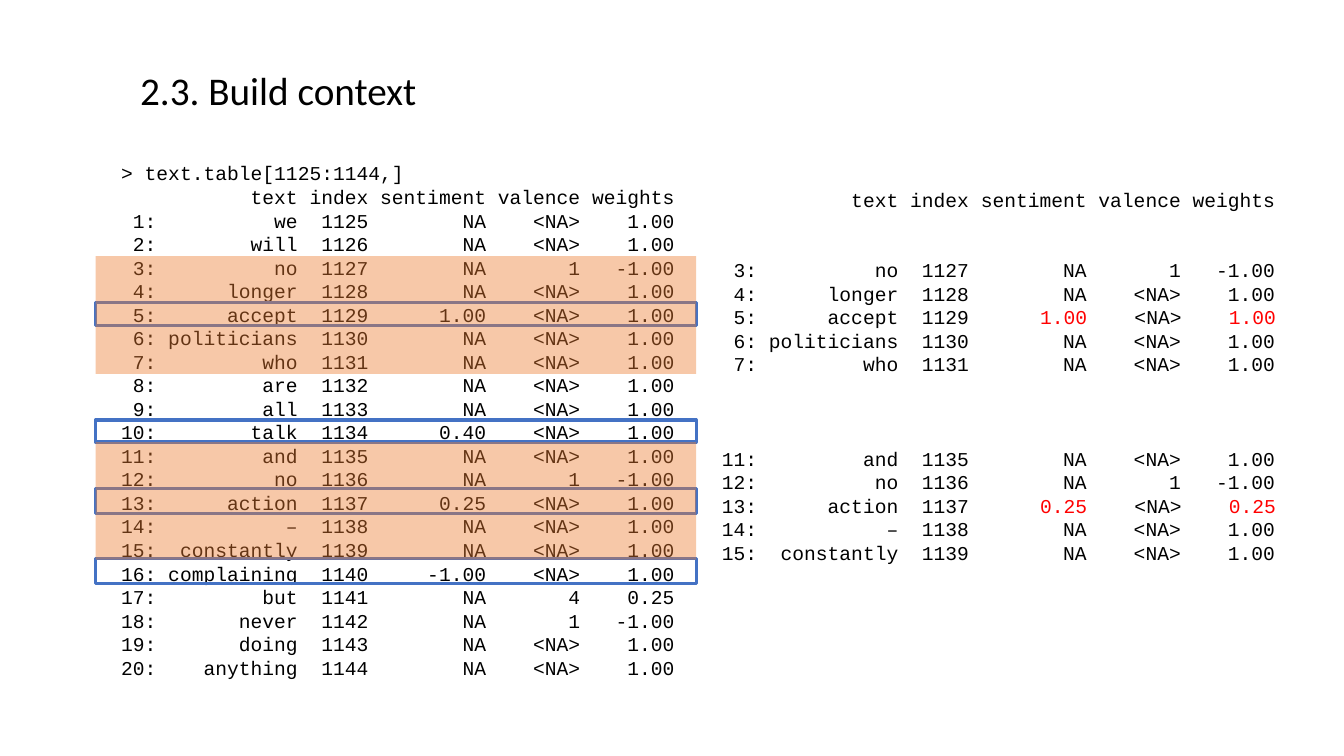
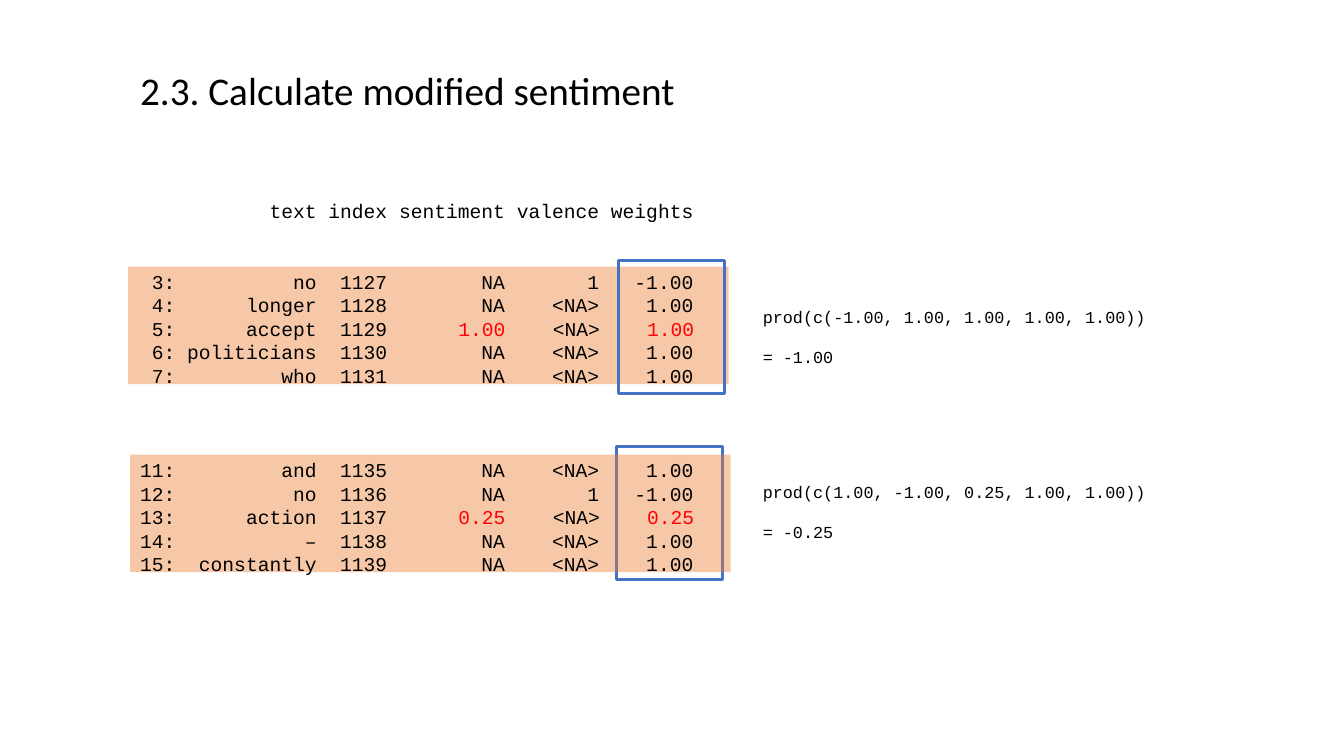
import pptx
import pptx.dml.color
import pptx.enum.shapes
import pptx.enum.text
import pptx.util
from dataclasses import dataclass
from pptx.oxml.ns import qn


@dataclass(frozen=True)
class Theme:
    ink: str = "000000"
    accent: str = "FF0000"
    outline: str = "4472C4"
    band: str = "ED7D31"
    band_alpha: int = 42000
    title_font: str = "Calibri"
    code_font: str = "Courier New"
    title_size: int = 28
    table_size: int = 14
    formula_size: int = 12
    outline_width: float = 2.25
    code_spacing: float = 1.2


THEME = Theme()
PX = 9525  # EMU per px, 96 px to the inch


def add_text(slide, left, top, width, height, lines, size, font=THEME.code_font):
    """Add left-aligned text; each line is (blank lines before, [(text, colour), ...])."""
    box = slide.shapes.add_textbox(left * PX, top * PX, width * PX, height * PX)
    frame = box.text_frame
    is_code = font == THEME.code_font
    frame.word_wrap = not is_code
    if is_code:
        frame.auto_size = pptx.enum.text.MSO_AUTO_SIZE.SHAPE_TO_FIT_TEXT
    pitch = THEME.code_spacing * size
    for number, (blank_lines, pieces) in enumerate(lines):
        paragraph = frame.paragraphs[0] if number == 0 else frame.add_paragraph()
        paragraph.line_spacing = pptx.util.Pt(pitch) if is_code else 0.8
        if blank_lines:
            paragraph.space_before = pptx.util.Pt(blank_lines * pitch)
        for text, colour in pieces:
            run = paragraph.add_run()
            run.text = text
            run.font.name = font
            run.font.size = pptx.util.Pt(size)
            run.font.color.rgb = pptx.dml.color.RGBColor.from_string(colour)


def add_rect(slide, left, top, width, height, filled):
    """Add a translucent band if filled, else an empty outlined frame."""
    rect = slide.shapes.add_shape(
        pptx.enum.shapes.MSO_SHAPE.RECTANGLE, left * PX, top * PX, width * PX, height * PX)
    rect.shadow.inherit = False
    if filled:
        rect.fill.solid()
        rect.fill.fore_color.rgb = pptx.dml.color.RGBColor.from_string(THEME.band)
        colour = rect.fill._xPr.find(qn("a:solidFill"))[0]
        colour.append(colour.makeelement(qn("a:alpha"), {"val": str(THEME.band_alpha)}))
        rect.line.fill.background()
    else:
        rect.fill.background()
        rect.line.color.rgb = pptx.dml.color.RGBColor.from_string(THEME.outline)
        rect.line.width = pptx.util.Pt(THEME.outline_width)


# Word, sentiment, valence, weight; rows are numbered from 1, indexes from 1125
WORDS = [
    ("we", "NA", "<NA>", "1.00"),
    ("will", "NA", "<NA>", "1.00"),
    ("no", "NA", "1", "-1.00"),
    ("longer", "NA", "<NA>", "1.00"),
    ("accept", "1.00", "<NA>", "1.00"),
    ("politicians", "NA", "<NA>", "1.00"),
    ("who", "NA", "<NA>", "1.00"),
    ("are", "NA", "<NA>", "1.00"),
    ("all", "NA", "<NA>", "1.00"),
    ("talk", "0.40", "<NA>", "1.00"),
    ("and", "NA", "<NA>", "1.00"),
    ("no", "NA", "1", "-1.00"),
    ("action", "0.25", "<NA>", "1.00"),
    ("–", "NA", "<NA>", "1.00"),
    ("constantly", "NA", "<NA>", "1.00"),
    ("complaining", "-1.00", "<NA>", "1.00"),
    ("but", "NA", "4", "0.25"),
    ("never", "NA", "1", "-1.00"),
    ("doing", "NA", "<NA>", "1.00"),
    ("anything", "NA", "<NA>", "1.00"),
]
# Row 13 takes its sentiment as its weight in the context view
CONTEXT_WEIGHTS = {5: "1.00", 13: "0.25"}
BLANKS_BEFORE = {3: 2, 11: 3}

header = (0, [(f"{'text':>15}{'index':>6}{'sentiment':>10}{'valence':>8}{'weights':>8}", THEME.ink)])
full_table = [(0, [("> text.table[1125:1144,]", THEME.ink)]), header]
context_table = [header]
for row, (word, sentiment, valence, weight) in enumerate(WORDS, start=1):
    start = f"{row:>2}:{word:>12}{1124 + row:>6}"
    plain = [(f"{start}{sentiment:>10}{valence:>8}{weight:>8}", THEME.ink)]
    full_table.append((0, plain))
    if row in CONTEXT_WEIGHTS:
        plain = [
            (start, THEME.ink),
            (f"{sentiment:>10}", THEME.accent),
            (f"{valence:>8}", THEME.ink),
            (f"{CONTEXT_WEIGHTS[row]:>8}", THEME.accent),
        ]
    if 3 <= row <= 7 or 11 <= row <= 15:
        context_table.append((BLANKS_BEFORE.get(row, 0), plain))

BAND_WIDTH, BAND_HEIGHT = 572, 112
TABLE_WIDTH, CONTEXT_HEIGHT = 549, 372

deck = pptx.Presentation()
deck.slide_width = 1280 * PX
deck.slide_height = 720 * PX
slides = []
for title in ("2.3. Build context", "2.3. Calculate modified sentiment"):
    slide = deck.slides.add_slide(deck.slide_layouts[6])
    add_text(slide, 124, 67, 1104, 49, [(0, [(title, THEME.ink)])],
             THEME.title_size, THEME.title_font)
    slides.append(slide)
build, calculate = slides

# Build context
add_text(build, 106, 149, TABLE_WIDTH, 507, full_table, THEME.table_size)
for top, height in ((288, 22), (400, 21), (465, 24), (532, 24)):
    add_rect(build, 91, top, BAND_WIDTH, height, filled=False)
for top in (244, 421):
    add_rect(build, 91, top, BAND_WIDTH, BAND_HEIGHT, filled=True)
add_text(build, 678, 174, TABLE_WIDTH, CONTEXT_HEIGHT, context_table, THEME.table_size)

# Calculate modified sentiment
add_rect(calculate, 587, 425, 101, 127, filled=False)
for left, top in ((122, 254), (124, 433)):
    add_rect(calculate, left, top, BAND_WIDTH, BAND_HEIGHT, filled=True)
add_text(calculate, 124, 185, TABLE_WIDTH, CONTEXT_HEIGHT, context_table, THEME.table_size)
add_rect(calculate, 589, 248, 101, 127, filled=False)
for top, formula, result in (
    (287, "prod(c(-1.00, 1.00, 1.00, 1.00, 1.00))", "= -1.00"),
    (454, "prod(c(1.00, -1.00, 0.25, 1.00, 1.00))", "= -0.25"),
):
    add_text(calculate, 717, top, 391, 68,
             [(0, [(formula, THEME.ink)]), (1, [(result, THEME.ink)])], THEME.formula_size)

deck.save("out.pptx")
